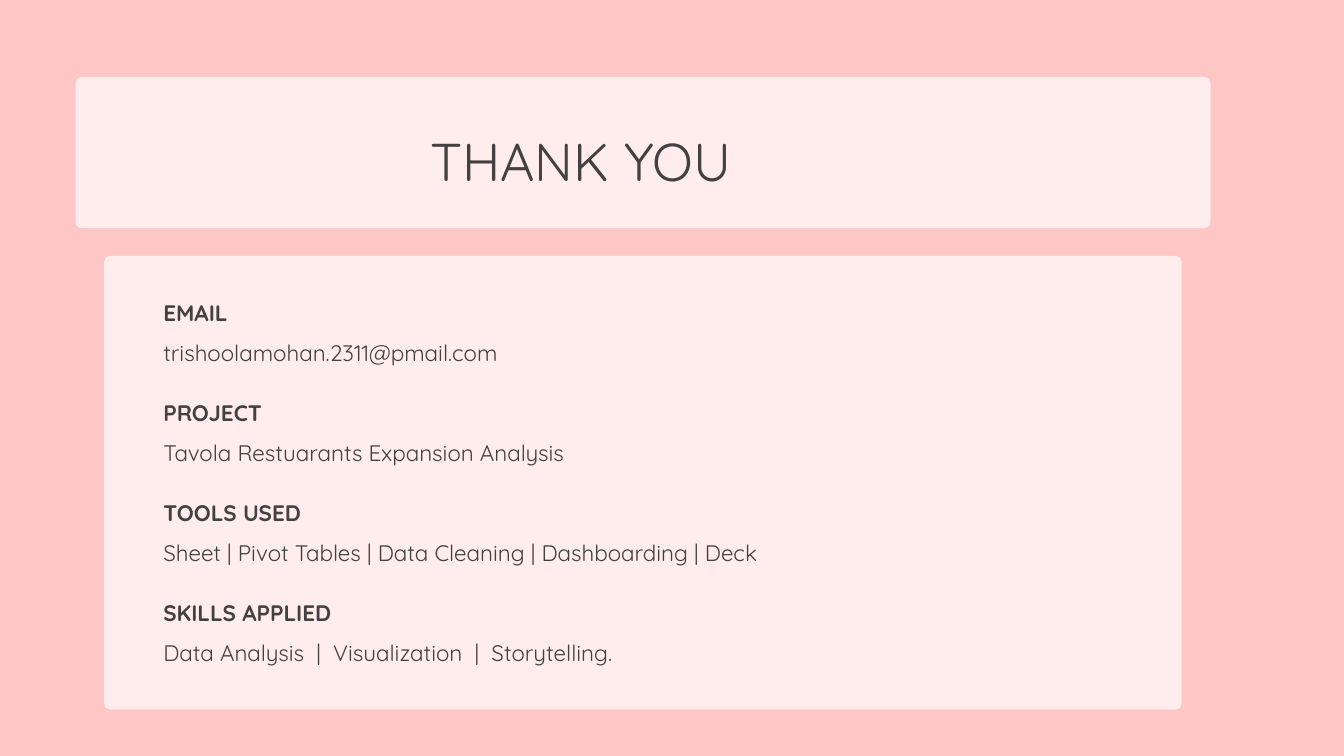
from pptx import Presentation
from pptx.dml.color import RGBColor
from pptx.enum.shapes import MSO_SHAPE as Shape
from pptx.enum.text import MSO_AUTO_SIZE as AutoSize
from pptx.util import Inches, Pt

COLORS = {"background": "FFC6C6", "card": "FFECEC", "text": "424040"}
FONT = "Quicksand"
CORNER = 0.09  # inches

prs = Presentation()
prs.slide_width, prs.slide_height = Inches(20), Inches(11.25)
# Grid of 100 columns by 100 rows
COL, ROW = prs.slide_width / 100, prs.slide_height / 100

slide = prs.slides.add_slide(prs.slide_layouts[6])
slide.background.fill.solid()
slide.background.fill.fore_color.rgb = RGBColor.from_string(COLORS["background"])


def box(left, top, width, height):
    """Turn grid columns and rows into slide lengths."""
    return int(left * COL), int(top * ROW), int(width * COL), int(height * ROW)


def add_line(place, wording, size, bold=False):
    """Add a single line of text with 1.4 line spacing."""
    holder = slide.shapes.add_textbox(*box(*place))
    frame = holder.text_frame
    frame.margin_left = frame.margin_right = 0
    frame.margin_top = frame.margin_bottom = 0
    frame.word_wrap = True
    frame.auto_size = AutoSize.SHAPE_TO_FIT_TEXT
    paragraph = frame.paragraphs[0]
    paragraph.line_spacing = Pt(size * 1.4)
    run = paragraph.add_run()
    run.text = wording
    run.font.name = FONT
    run.font.size = Pt(size)
    run.font.bold = bold
    run.font.color.rgb = RGBColor.from_string(COLORS["text"])


# Title card and details card
for place in [(5.62, 10.17, 84.45, 20), (7.75, 33.85, 80.17, 60)]:
    card = slide.shapes.add_shape(Shape.ROUNDED_RECTANGLE, *box(*place))
    card.adjustments[0] = Inches(CORNER) / card.height
    card.fill.solid()
    card.fill.fore_color.rgb = RGBColor.from_string(COLORS["card"])
    card.line.fill.background()
    card.shadow.inherit = False

# Heading and value pairs at an equal pitch
details = [
    ("EMAIL", "trishoolamohan.2311@pmail.com"),
    ("PROJECT", "Tavola Restuarants Expansion Analysis"),
    ("TOOLS USED", "Sheet | Pivot Tables | Data Cleaning | Dashboarding | Deck"),
    ("SKILLS APPLIED", "Data Analysis  |  Visualization  |  Storytelling."),
]
LEFT, FIRST_TOP, PITCH, VALUE_DROP = 12.15, 39, 13.22, 5.25
for index, (heading, value) in enumerate(details):
    top = FIRST_TOP + index * PITCH
    add_line((LEFT, top, 65, 3.9), heading, 24, bold=True)
    add_line((LEFT, top + VALUE_DROP, 65, 3.9), value, 24)

add_line((32, 15.55, 36, 9.4), "THANK YOU", 57)

prs.save("out.pptx")
